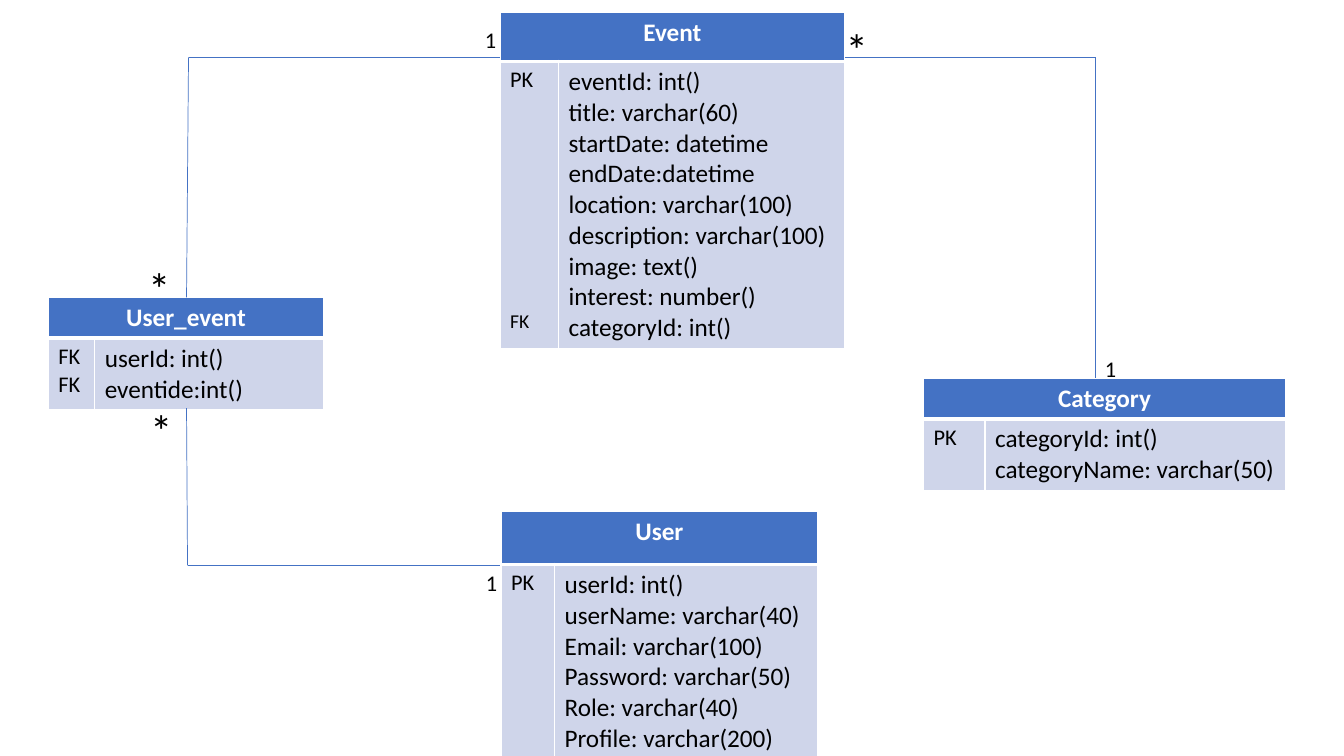
from dataclasses import dataclass

from lxml import etree
from pptx import Presentation
from pptx.dml.color import RGBColor
from pptx.enum.shapes import MSO_CONNECTOR
from pptx.enum.text import MSO_AUTO_SIZE, PP_ALIGN
from pptx.oxml.ns import qn
from pptx.util import Inches, Pt

STRAIGHT = MSO_CONNECTOR.STRAIGHT
LEFT, CENTER = PP_ALIGN.LEFT, PP_ALIGN.CENTER
FIT_SHAPE = MSO_AUTO_SIZE.SHAPE_TO_FIT_TEXT

BLUE = RGBColor(0x44, 0x72, 0xC4)
PALE_BLUE = RGBColor(0xCF, 0xD5, 0xEA)
WHITE = RGBColor(0xFF, 0xFF, 0xFF)
BLACK = RGBColor(0x00, 0x00, 0x00)
FONT = "Calibri"


@dataclass(frozen=True)
class Key:
    text: str
    size: float = 16
    space_before: float = 0


@dataclass(frozen=True)
class Entity:
    name: str
    left: float
    top: float
    widths: tuple[float, float]
    heights: tuple[float, float]
    keys: tuple[Key, ...]
    fields: tuple[str, ...]


@dataclass(frozen=True)
class Relation:
    points: tuple[tuple[float, float], ...]


@dataclass(frozen=True)
class Multiplicity:
    text: str
    left: float
    top: float


ENTITIES = (
    Entity("User", 4.97, 5.07, (0.53, 2.61), (0.53, 1.9), (Key("PK"),),
           ("userId: int()", "userName: varchar(40)", "Email: varchar(100)",
            "Password: varchar(50)", "Role: varchar(40)", "Profile: varchar(200)")),
    Entity("Event", 4.96, 0.12, (0.58, 2.84), (0.49, 2.8),
           (Key("PK"), Key("FK", size=14, space_before=154)),
           ("eventId: int()", "title: varchar(60)", "startDate: datetime",
            "endDate:datetime", "location: varchar(100)",
            "description: varchar(100)", "image: text()", "interest: number()",
            "categoryId: int()")),
    Entity("Category", 9.16, 3.75, (0.61, 2.98), (0.4, 0.7), (Key("PK"),),
           ("categoryId: int()", "categoryName: varchar(50)")),
    Entity("User_event", 0.48, 2.95, (0.46, 2.27), (0.4, 0.7),
           (Key("FK"), Key("FK")), ("userId: int()", "eventide:int()")),
)

RELATIONS = (
    Relation(((1.85, 2.95), (1.87, 0.57), (4.96, 0.57))),
    Relation(((1.85, 4.05), (1.86, 5.61), (4.96, 5.61))),
    Relation(((8.38, 0.57), (10.86, 0.57), (10.86, 3.75))),
)

MULTIPLICITIES = (
    Multiplicity("*", 1.39, 3.95),
    Multiplicity("*", 1.37, 2.54),
    Multiplicity("1", 4.72, 5.6),
    Multiplicity("1", 4.71, 0.21),
    Multiplicity("1", 10.86, 3.47),
    Multiplicity("*", 8.29, 0.17),
)
MULTIPLICITY_FORMAT = {"*": (32, 0.64), "1": (16, 0.37)}


def write_line(frame, text: str, *, size: float = 18, color: RGBColor = BLACK,
               bold: bool = False, align: PP_ALIGN = LEFT,
               space_before: float = 0) -> None:
    first = frame.paragraphs[0]
    line = frame.add_paragraph() if first.runs else first
    line.alignment = align
    line.space_before = Pt(space_before)
    run = line.add_run()
    run.text = text
    run.font.name = FONT
    run.font.size = Pt(size)
    run.font.bold = bold
    run.font.color.rgb = color


def style_cell(cell, fill: RGBColor, top: float = 1, bottom: float = 1) -> None:
    properties = cell._tc.get_or_add_tcPr()
    for side, width in (("L", 1), ("R", 1), ("T", top), ("B", bottom)):
        border = etree.SubElement(properties, qn(f"a:ln{side}"), w=str(Pt(width)))
        solid = etree.SubElement(border, qn("a:solidFill"))
        etree.SubElement(solid, qn("a:srgbClr"), val=str(WHITE))
    cell.fill.solid()
    cell.fill.fore_color.rgb = fill


def draw_entity(slide, entity: Entity) -> None:
    table = slide.shapes.add_table(
        2, 2, Inches(entity.left), Inches(entity.top),
        Inches(sum(entity.widths)), Inches(sum(entity.heights))).table
    for column, width in zip(table.columns, entity.widths):
        column.width = Inches(width)
    for row, height in zip(table.rows, entity.heights):
        row.height = Inches(height)
    for column in range(2):
        style_cell(table.cell(0, column), BLUE, bottom=3)
        style_cell(table.cell(1, column), PALE_BLUE, top=3)
    header = table.cell(0, 0)
    header.merge(table.cell(0, 1))
    write_line(header.text_frame, entity.name, color=WHITE, bold=True, align=CENTER)
    for key in entity.keys:
        write_line(table.cell(1, 0).text_frame, key.text, size=key.size,
                   space_before=key.space_before)
    for field in entity.fields:
        write_line(table.cell(1, 1).text_frame, field)


def draw_relation(slide, relation: Relation) -> None:
    for start, end in zip(relation.points, relation.points[1:]):
        segment = slide.shapes.add_connector(
            STRAIGHT, *(Inches(length) for length in (*start, *end)))
        segment.line.color.rgb = BLUE
        segment.line.width = Pt(0.5)
        etree.SubElement(segment._element.spPr, qn("a:effectLst"))


def draw_multiplicity(slide, multiplicity: Multiplicity) -> None:
    size, height = MULTIPLICITY_FORMAT[multiplicity.text]
    frame = slide.shapes.add_textbox(
        Inches(multiplicity.left), Inches(multiplicity.top),
        Inches(0.5), Inches(height)).text_frame
    frame.word_wrap = True
    frame.auto_size = FIT_SHAPE
    write_line(frame, multiplicity.text, size=size)


def main() -> None:
    presentation = Presentation()
    presentation.slide_width = Inches(13.33)
    presentation.slide_height = Inches(7.5)
    slide = presentation.slides.add_slide(presentation.slide_layouts[6])
    for entity in ENTITIES:
        draw_entity(slide, entity)
    for relation in RELATIONS:
        draw_relation(slide, relation)
    for multiplicity in MULTIPLICITIES:
        draw_multiplicity(slide, multiplicity)
    presentation.save("out.pptx")


if __name__ == "__main__":
    main()
